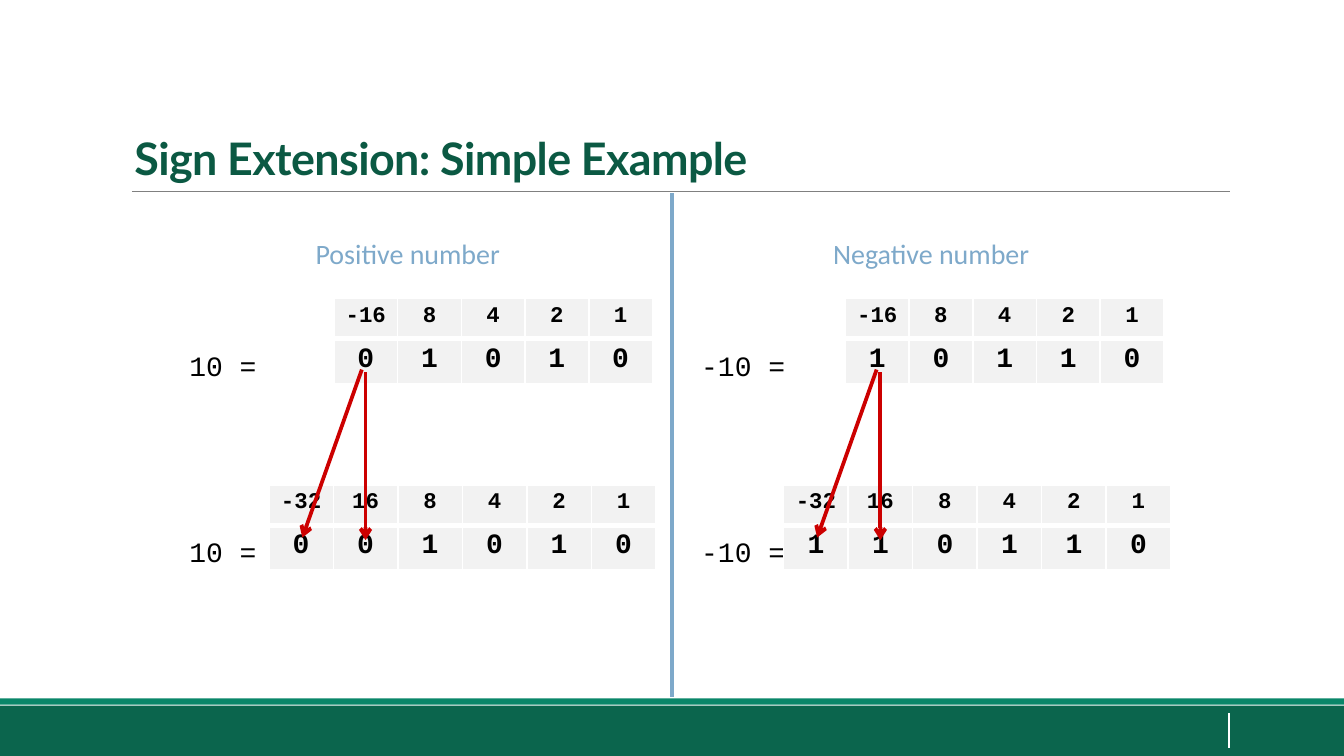
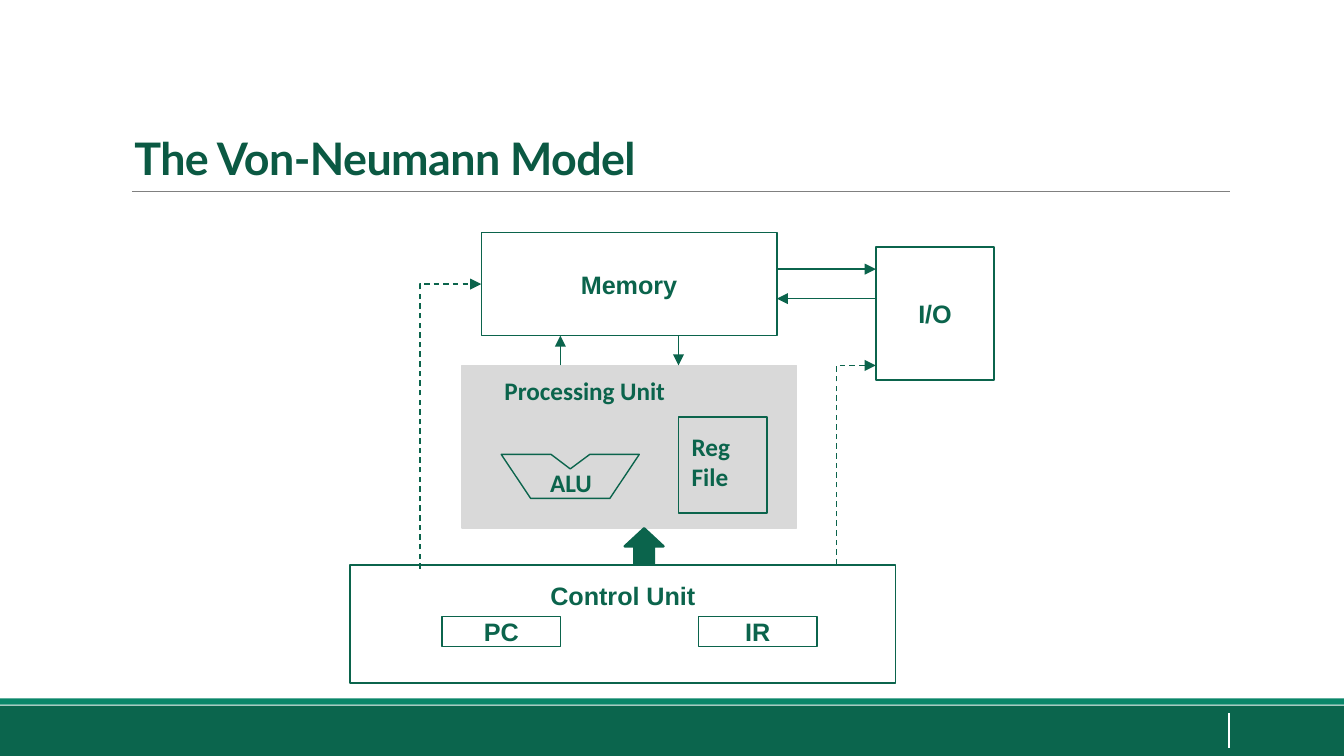
from dataclasses import dataclass

from lxml import etree
from pptx import Presentation
from pptx.dml.color import RGBColor
from pptx.enum.dml import MSO_LINE
from pptx.enum.shapes import MSO_CONNECTOR, MSO_SHAPE
from pptx.enum.text import MSO_ANCHOR, MSO_AUTO_SIZE, PP_ALIGN
from pptx.oxml.ns import qn
from pptx.util import Pt

RECTANGLE, DOWN_ARROW = MSO_SHAPE.RECTANGLE, MSO_SHAPE.DOWN_ARROW
STRAIGHT = MSO_CONNECTOR.STRAIGHT
DASH = MSO_LINE.DASH
TOP, MIDDLE, BOTTOM = MSO_ANCHOR.TOP, MSO_ANCHOR.MIDDLE, MSO_ANCHOR.BOTTOM
LEFT, CENTER = PP_ALIGN.LEFT, PP_ALIGN.CENTER
NO_FIT, GROW = MSO_AUTO_SIZE.NONE, MSO_AUTO_SIZE.SHAPE_TO_FIT_TEXT


@dataclass(frozen=True)
class Theme:
    title: str = "0B5943"
    footer: str = "0B654D"
    band: str = "0A8669"
    rule: str = "808080"
    diagram: str = "0B644C"
    panel: str = "D9D9D9"
    cell: str = "F2F2F2"
    accent: str = "7EA9CA"
    arrow: str = "CC0000"
    black: str = "000000"
    white: str = "FFFFFF"
    title_font: str = "Lato"
    body_font: str = "Calibri"
    diagram_font: str = "Arial"
    code_font: str = "Courier New"
    title_size: float = 24
    body_size: float = 15
    weight_size: float = 12
    diagram_size: float = 13.5


THEME = Theme()
TITLE_ONLY = 5
SLIDE_WIDTH, SLIDE_HEIGHT = 720, 405
WEIGHT_ROW, BIT_ROW = 21.6, 23.8


def points(*values):
    return [Pt(value) for value in values]


def rgb(color):
    return RGBColor.from_string(color)


def add_run(paragraph, text, font, size, color, bold=False):
    run = paragraph.add_run()
    run.text = text
    run.font.name = font
    run.font.size = Pt(size)
    run.font.bold = bold
    run.font.color.rgb = rgb(color)
    return run


def add_label(slide, lines, left, top, width, height, font, size, color, bold=False, wrap=False):
    """Text box that grows with its lines, one paragraph for each."""
    frame = slide.shapes.add_textbox(*points(left, top, width, height)).text_frame
    frame.word_wrap = wrap
    frame.auto_size = GROW
    for index, line in enumerate(lines):
        paragraph = frame.add_paragraph() if index else frame.paragraphs[0]
        add_run(paragraph, line, font, size, color, bold)


def style_shape(shape, fill=None, line=None, line_width=0.75):
    shape.shadow.inherit = False
    if fill:
        shape.fill.solid()
        shape.fill.fore_color.rgb = rgb(fill)
    else:
        shape.fill.background()
    if line:
        shape.line.color.rgb = rgb(line)
        shape.line.width = Pt(line_width)
    else:
        shape.line.fill.background()


def add_preset(slide, preset, left, top, width, height, **style):
    shape = slide.shapes.add_shape(preset, *points(left, top, width, height))
    style_shape(shape, **style)
    return shape


def add_unit(slide, name, left, top, width, height, inset=None):
    """Outlined box with its name in the middle, or inset below the top edge."""
    shape = add_preset(slide, RECTANGLE, left, top, width, height, line=THEME.diagram)
    frame = shape.text_frame
    frame.word_wrap = False
    frame.margin_top = Pt(inset or 0)
    frame.margin_bottom = 0
    frame.vertical_anchor = TOP if inset else MIDDLE
    paragraph = frame.paragraphs[0]
    paragraph.alignment = CENTER
    add_run(paragraph, name, THEME.diagram_font, THEME.diagram_size, THEME.diagram, True)


def add_line(slide, start, end, color, width, head=None, dash=None):
    connector = slide.shapes.add_connector(STRAIGHT, *points(*start, *end))
    connector.line.color.rgb = rgb(color)
    connector.line.width = Pt(width)
    if dash:
        connector.line.dash_style = dash
    properties = connector.element.spPr
    if head:
        etree.SubElement(properties.find(qn("a:ln")), qn("a:tailEnd"), type=head)
    etree.SubElement(properties, qn("a:effectLst"))
    return connector


def add_control_path(slide, start, end):
    """Dashed elbow arrow that goes up from start, then right to end."""
    across, rise = end[0] - start[0], start[1] - end[1]
    left = (start[0] + end[0] - rise) / 2
    top = (start[1] + end[1] - across) / 2
    connector = add_line(slide, (left, top), (left + rise, top + across),
                         THEME.diagram, 0.75, "triangle", DASH)
    properties = connector.element.spPr
    properties.find(qn("a:xfrm")).set("rot", str(270 * 60000))
    properties.find(qn("a:prstGeom")).set("prst", "bentConnector2")


def set_cell_borders(cell, **widths):
    properties = cell._tc.get_or_add_tcPr()
    for side in "LRTB":
        border = etree.SubElement(properties, qn(f"a:ln{side}"), w=str(Pt(widths.get(side, 1))))
        fill = etree.SubElement(border, qn("a:solidFill"))
        etree.SubElement(fill, qn("a:srgbClr"), val=THEME.white)


def add_bit_table(slide, left, top, column_width, weights, bits):
    rows = (
        (weights, WEIGHT_ROW, THEME.weight_size, {"B": 3}),
        (bits, BIT_ROW, THEME.body_size, {"T": 3}),
    )
    table = slide.shapes.add_table(
        len(rows), len(bits),
        *points(left, top, column_width * len(bits), WEIGHT_ROW + BIT_ROW)).table
    table.horz_banding = False
    for column in table.columns:
        column.width = Pt(column_width)
    for row_index, (values, height, size, borders) in enumerate(rows):
        table.rows[row_index].height = Pt(height)
        for column_index, value in enumerate(values):
            cell = table.cell(row_index, column_index)
            cell.margin_left = cell.margin_right = Pt(5.4)
            cell.margin_top = cell.margin_bottom = Pt(2.7)
            set_cell_borders(cell, **borders)
            cell.fill.solid()
            cell.fill.fore_color.rgb = rgb(THEME.cell)
            paragraph = cell.text_frame.paragraphs[0]
            paragraph.alignment = CENTER
            add_run(paragraph, value, THEME.code_font, size, THEME.black, True)


def add_slide(presentation, title):
    slide = presentation.slides.add_slide(presentation.slide_layouts[TITLE_ONLY])
    placeholder = slide.shapes.title
    placeholder.left, placeholder.top, placeholder.width, placeholder.height = points(
        64.8, 16.5, 594, 85.8)
    frame = placeholder.text_frame
    frame.word_wrap = True
    frame.auto_size = NO_FIT
    frame.vertical_anchor = BOTTOM
    paragraph = frame.paragraphs[0]
    paragraph.alignment = LEFT
    paragraph.line_spacing = 0.85
    run = add_run(paragraph, title, THEME.title_font, THEME.title_size, THEME.title, True)
    run.font._element.set("spc", "-30")
    add_page_frame(slide)
    return slide


def add_page_frame(slide):
    add_preset(slide, RECTANGLE, 0, 378, SLIDE_WIDTH, 27, fill=THEME.footer)
    add_line(slide, (70.7, 102.7), (658.8, 102.7), THEME.rule, 0.5)
    add_preset(slide, RECTANGLE, 0, 374.2, SLIDE_WIDTH, 3.4, fill=THEME.band)
    add_line(slide, (658.5, 382), (658.5, 400.7), THEME.white, 1)


def add_sign_example(slide, heading, heading_box, value, value_box, short_left, long_left, bits):
    """Five-bit number above its six-bit form, with arrows that copy the sign bit."""
    short_column, long_column = 34.13, 34.56
    short_top, long_top = 160, 259.8
    weights = ("8", "4", "2", "1")
    for top in (short_top, long_top):
        add_label(slide, [value], value_box[0], top + 23, value_box[1], 25,
                  THEME.code_font, THEME.body_size, THEME.black)
    add_bit_table(slide, short_left, short_top, short_column, ("-16", *weights), bits)
    add_bit_table(slide, long_left, long_top, long_column,
                  ("-32", "16", *weights), bits[0] + bits)
    sign_x, copy_x = (long_left + long_column * offset for offset in (0.5, 1.5))
    add_line(slide, (copy_x, 199.4), (copy_x, 289.4), THEME.arrow, 2, "arrow")
    add_line(slide, (copy_x - 2, 198), (sign_x + 0.7, 288), THEME.arrow, 2, "arrow")
    add_label(slide, [heading], heading_box[0], 123.4, heading_box[1], 25,
              THEME.body_font, THEME.body_size, THEME.accent)


def build_sign_extension(presentation):
    slide = add_slide(presentation, "Sign Extension: Simple Example")
    add_line(slide, (360, 103.5), (360, 373.5), THEME.accent, 2)
    add_sign_example(slide, "Positive number", (162, 114.5), "10 =", (94.3, 60),
                     178.9, 144, "01010")
    add_sign_example(slide, "Negative number", (439.2, 121), "-10 =", (368.6, 69),
                     452.9, 419.8, "10110")


def add_alu(slide):
    outline = ((268.5, 243.4), (295.2, 243.4), (305.5, 251.2), (316, 243.4),
               (342.5, 243.4), (326.7, 267), (284.3, 267))
    builder = slide.shapes.build_freeform(*points(*outline[0]), scale=1.0)
    builder.add_line_segments([points(*corner) for corner in outline[1:]], close=True)
    style_shape(builder.convert_to_shape(), line=THEME.diagram)
    add_diagram_label(slide, ["ALU"], 287.7, 247, 44, 27)


def add_diagram_label(slide, lines, left, top, width, height, wrap=False):
    add_label(slide, lines, left, top, width, height,
              THEME.body_font, THEME.diagram_size, THEME.diagram, True, wrap)


def build_von_neumann(presentation):
    slide = add_slide(presentation, "The Von-Neumann Model")
    add_unit(slide, "Memory", 257.8, 124.6, 158.4, 55.2)
    add_preset(slide, RECTANGLE, 247.4, 195.8, 179.3, 87.2, fill=THEME.panel, line=THEME.panel)
    add_unit(slide, "Control Unit", 187.6, 302.6, 292.2, 63.3, inset=8.4)
    add_unit(slide, "I/O", 469.2, 132.4, 63.4, 71.2)
    add_alu(slide)
    add_preset(slide, RECTANGLE, 363.5, 223.5, 47.5, 51.3, line=THEME.diagram)
    add_diagram_label(slide, ["Reg", "File"], 363.5, 227.5, 44.6, 40.3, wrap=True)
    for name, left in (("PC", 236.8), ("IR", 374.2)):
        add_unit(slide, name, left, 330.4, 63.4, 15.9)
    data_paths = (
        ((300.2, 195.8), (300.2, 179.8)),
        ((363.5, 179.8), (363.5, 195.8)),
        ((416.2, 144.2), (469.2, 144.2)),
        ((469.2, 160), (416.2, 160)),
    )
    for start, end in data_paths:
        add_line(slide, start, end, THEME.diagram, 0.75, "triangle")
    add_control_path(slide, (224.9, 304.7), (257.8, 152.2))
    add_control_path(slide, (448.2, 302.4), (469.2, 195.8))
    add_diagram_label(slide, ["Processing Unit"], 263.2, 197.3, 119.5, 27)
    arrow = add_preset(slide, DOWN_ARROW, 334.6, 283, 20.9, 19.4,
                       fill=THEME.diagram, line=THEME.diagram, line_width=1.25)
    arrow.rotation = 180


def main():
    presentation = Presentation()
    presentation.slide_width, presentation.slide_height = points(SLIDE_WIDTH, SLIDE_HEIGHT)
    build_sign_extension(presentation)
    build_von_neumann(presentation)
    presentation.save("out.pptx")


if __name__ == "__main__":
    main()
